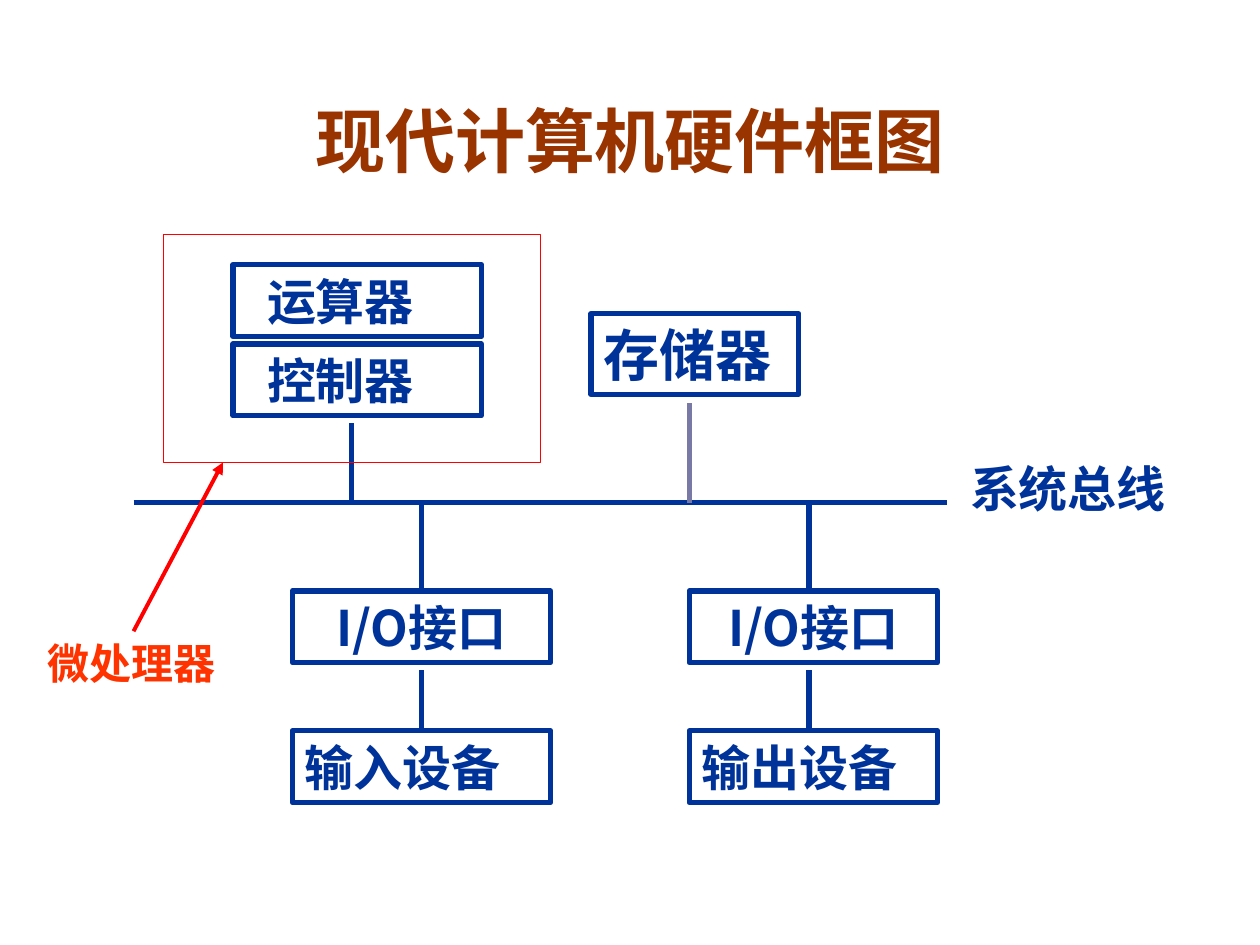
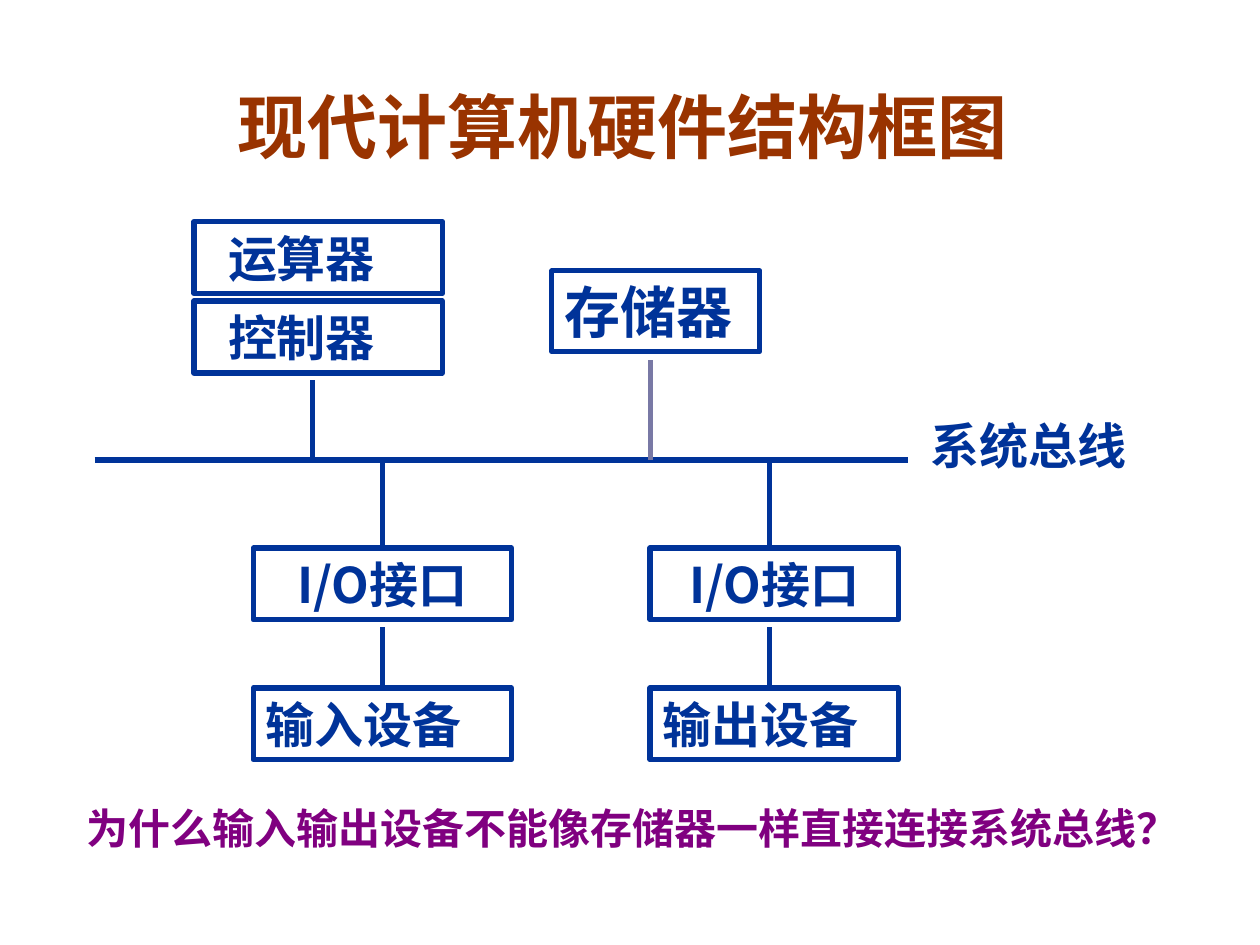
from lxml.etree import SubElement
from pptx import Presentation
from pptx.dml.color import RGBColor as RGB
from pptx.enum.shapes import MSO_CONNECTOR as CONN, MSO_SHAPE as SHAPE
from pptx.enum.text import MSO_ANCHOR as ANCHOR, PP_ALIGN as ALIGN
from pptx.oxml.ns import qn
from pptx.util import Inches, Pt

COLORS = {
    "title": "993300",
    "ink": "003399",
    "memory_link": "7979A5",
    "frame": "FF0000",
    "cpu_label": "FF3300",
    "question": "800080",
}
CJK = "Noto Sans CJK SC"
COLS, ROWS = 10, 7.5
CELL = Inches(1)
BOX_H = 0.57


def color(name):
    return RGB.from_string(COLORS[name])


def grid(*cells):
    return [round(c * CELL) for c in cells]


def write(sp, text, size, ink="ink", font="Karla", align=ALIGN.LEFT, indent=0.1, wrap=True):
    tf = sp.text_frame
    tf.word_wrap = wrap
    tf.vertical_anchor = ANCHOR.MIDDLE
    tf.margin_left, tf.margin_right = grid(indent, 0.1)
    tf.margin_top = tf.margin_bottom = 0
    tf.text = text
    p = tf.paragraphs[0]
    p.alignment = align
    r = p.runs[0]
    r.font.size = Pt(size)
    r.font.bold = True
    r.font.color.rgb = color(ink)
    r.font.name = font
    SubElement(r.font._element, qn("a:ea")).set("typeface", CJK)


def add_label(s, at, text, size, **style):
    write(s.shapes.add_textbox(*grid(*at)), text, size, **style)


def add_title(s, at, text):
    add_label(s, at, text, 40, ink="title", font="Arial", align=ALIGN.CENTER)


def add_box(s, at, text=None, size=28, line="ink", width=3, **style):
    sp = s.shapes.add_shape(SHAPE.RECTANGLE, *grid(*at))
    sp.shadow.inherit = False
    sp.fill.background()
    sp.line.color.rgb = color(line)
    sp.line.width = Pt(width)
    if text:
        write(sp, text, size, **style)
    return sp


def add_line(s, start, end, line="ink", width=3, arrow=False):
    cx = s.shapes.add_connector(CONN.STRAIGHT, *grid(*start, *end))
    cx.line.color.rgb = color(line)
    cx.line.width = Pt(width)
    if arrow:
        SubElement(cx.line._get_or_add_ln(), qn("a:tailEnd")).set("type", "triangle")
    SubElement(cx._element.spPr, qn("a:effectLst"))
    return cx


def add_io_column(s, x, width, link_x, bus_y, device):
    port_y, device_y = bus_y + 0.7, bus_y + 1.81
    port = add_box(s, (x, port_y, width, BOX_H), "I/O接口", font=CJK, align=ALIGN.CENTER)
    unit = add_box(s, (x, device_y, width, BOX_H), device)
    links = [
        (add_line(s, (link_x, bus_y), (link_x, port_y)), port),
        (add_line(s, (link_x, port_y + 0.63), (link_x, device_y)), unit),
    ]
    if abs(link_x - x - width / 2) < 0.01:
        for link, target in links:
            link.end_connect(target, 0)


def add_hardware(s, x, bus_y):
    for above, unit in ((1.89, "运算器"), (1.26, "控制器")):
        add_box(s, (x + 0.79, bus_y - above, 1.97, BOX_H), unit, indent=0.27)
    add_line(s, (x, bus_y), (x + 6.46, bus_y))
    add_line(s, (x + 1.73, bus_y - 0.63), (x + 1.73, bus_y))
    add_box(s, (x + 3.63, bus_y - 1.5, 1.65, 0.64), "存储器", 32)
    add_line(s, (x + 4.41, bus_y - 0.79), (x + 4.41, bus_y), "memory_link")
    add_label(s, (x + 6.54, bus_y - 0.4, 2.09, BOX_H), "系统总线", 28)
    add_io_column(s, x + 1.26, 2.05, x + 2.285, bus_y, "输入设备")
    add_io_column(s, x + 4.41, 1.97, x + 5.36, bus_y, "输出设备")


def add_processor_mark(s):
    add_line(s, (1.06, 5.01), (1.77, 3.67), "frame", 2.25, arrow=True)
    add_label(s, (0.28, 5.01, 1.73, 0.5), "微处理器", 24, ink="cpu_label", font="Arial")
    add_box(s, (1.3, 1.86, 2.99, 1.81), line="frame", width=0.75)


def main():
    prs = Presentation()
    prs.slide_width, prs.slide_height = grid(COLS, ROWS)
    blank = prs.slide_layouts[6]

    s = prs.slides.add_slide(blank)
    add_title(s, (0.33, 0.67, 9.34, 0.88), "现代计算机硬件框图")
    add_hardware(s, 1.06, 3.99)
    add_processor_mark(s)

    s = prs.slides.add_slide(blank)
    add_title(s, (0.27, 0.52, 9.34, 0.95), "现代计算机硬件结构框图")
    add_hardware(s, 0.75, 3.65)
    add_label(s, (0.59, 6.32, 8.86, 0.5), "为什么输入输出设备不能像存储器一样直接连接系统总线？",
              24, ink="question", font="Arial", wrap=False)

    prs.save("out.pptx")


if __name__ == "__main__":
    main()
